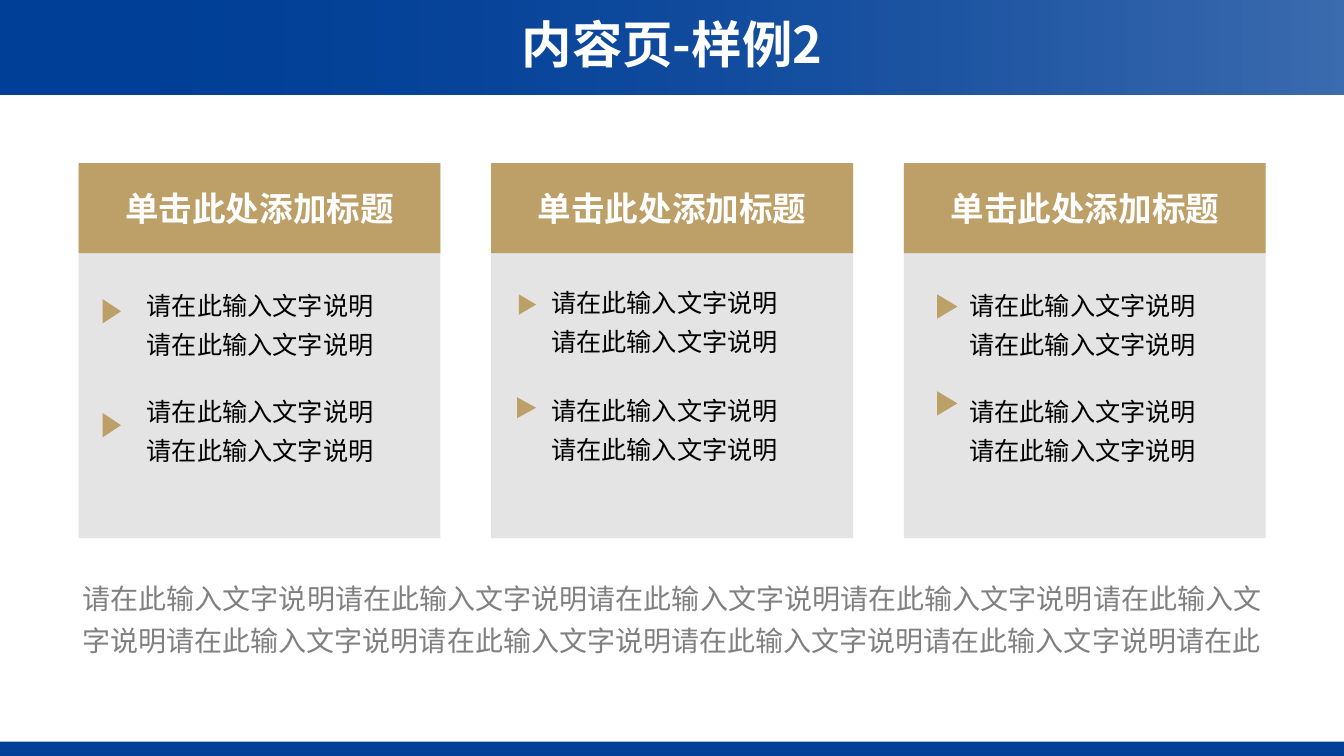
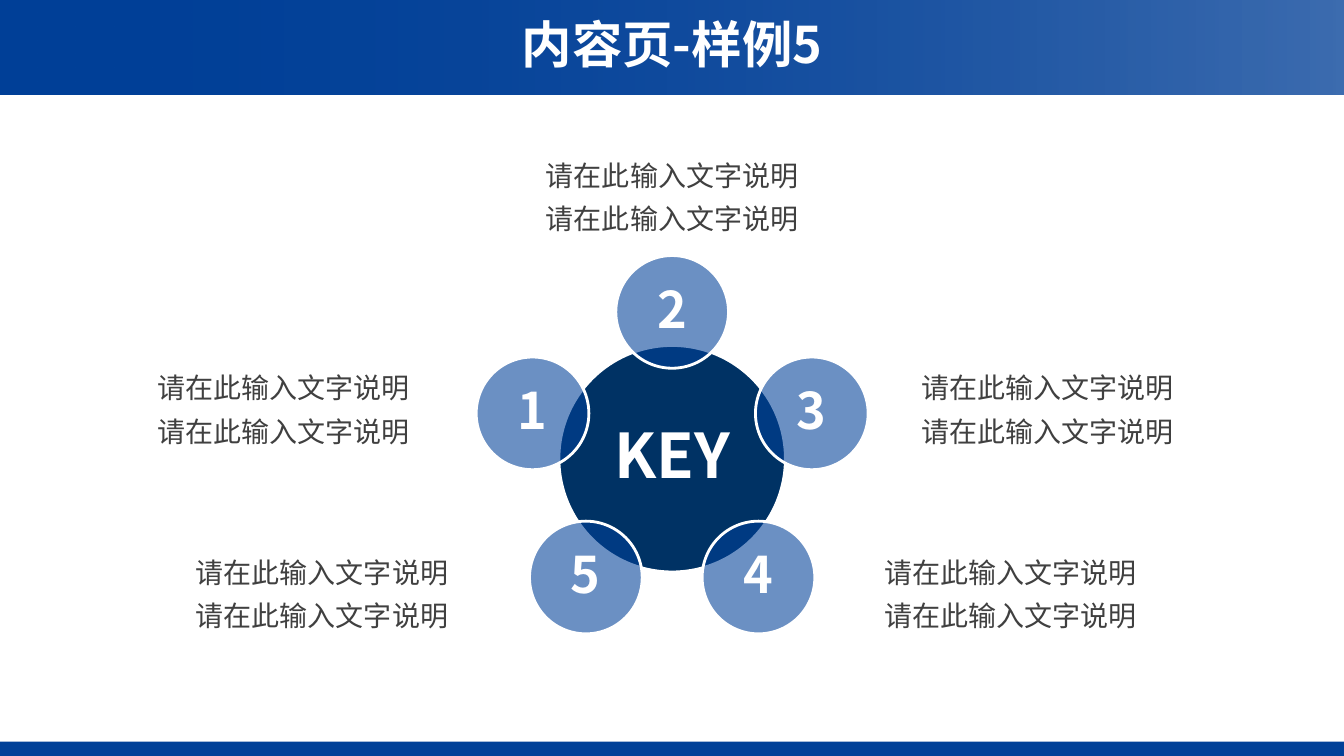
"""Build two content slides: three titled cards, and a key idea ringed by five points."""
import math
from dataclasses import dataclass

from lxml import etree
from pptx import Presentation
from pptx import util as u
from pptx.dml.color import RGBColor
from pptx.enum import shapes, text
from pptx.oxml.ns import qn


@dataclass(frozen=True)
class Theme:
    font: str = "Noto Sans CJK SC"
    blue: str = "004098"
    navy: str = "003264"
    gold: str = "BD9F68"
    panel: str = "D9D9D9"
    white: str = "FFFFFF"
    black: str = "000000"
    dark: str = "404040"
    grey: str = "808080"
    title: int = 36
    hub: int = 44
    number: int = 36
    heading: int = 24
    label: int = 20
    body: int = 18


theme = Theme()
PRESET = shapes.MSO_SHAPE
CENTER = text.PP_ALIGN.CENTER
MIDDLE = text.MSO_ANCHOR.MIDDLE


def draw(slide, preset, box, color, opacity=100, outline=0):
    shape = slide.shapes.add_shape(preset, *(u.Cm(length) for length in box))
    shape.shadow.inherit = False
    shape.fill.solid()
    shape.fill.fore_color.rgb = RGBColor.from_string(color)
    if opacity < 100:
        tint = shape.fill._xPr.find(".//" + qn("a:srgbClr"))
        etree.SubElement(tint, qn("a:alpha"), val=str(opacity * 1000))
    if outline:
        shape.line.color.rgb = RGBColor.from_string(theme.white)
        shape.line.width = u.Pt(outline)
    else:
        shape.line.fill.background()
    return shape


def write(shape, lines, size, color, bold=False, align=CENTER, anchor=MIDDLE,
          spacing=1.0, inset=None):
    frame = shape.text_frame
    frame.word_wrap = True
    frame.vertical_anchor = anchor
    if inset is not None:
        frame.margin_left = frame.margin_right = u.Cm(inset)
        frame.margin_top = frame.margin_bottom = u.Cm(inset)
    for index, line in enumerate(lines):
        paragraph = frame.add_paragraph() if index else frame.paragraphs[0]
        paragraph.alignment = align
        paragraph.line_spacing = spacing
        run = paragraph.add_run()
        run.text = line
        run.font.size = u.Pt(size)
        run.font.bold = bold
        run.font.color.rgb = RGBColor.from_string(color)
        run.font.name = theme.font
        etree.SubElement(run.font._element, qn("a:ea"), typeface=theme.font)


prs = Presentation()
prs.slide_width, prs.slide_height = u.Cm(33.87), u.Cm(19.05)
blank = prs.slide_layouts[6]
for placeholder in list(blank.placeholders):
    placeholder.element.getparent().remove(placeholder.element)

header = (0, 0, 33.87, 2.38)
phrase = "请在此输入文字说明"
cards_slide = prs.slides.add_slide(blank)
ring_slide = prs.slides.add_slide(blank)

bands = [draw(cards_slide, PRESET.RECTANGLE, (0, 18.69, 33.87, 0.36), theme.blue)]
for right_opacity in (77, 0):
    band = draw(cards_slide, PRESET.RECTANGLE, header, theme.blue)
    band.fill.gradient()
    band.fill.gradient_angle = 180
    for stop in band.fill.gradient_stops:
        stop.color.rgb = RGBColor.from_string(theme.blue)
    right_tint = band.fill._xPr.find(".//" + qn("a:srgbClr"))
    etree.SubElement(right_tint, qn("a:alpha"), val=str(right_opacity * 1000))
    bands.append(band)
for band in bands:
    blank.shapes.element.append(band.element)

for slide, title in ((cards_slide, "内容页-样例2"), (ring_slide, "内容页-样例5")):
    heading = slide.shapes.add_textbox(*(u.Cm(length) for length in header))
    write(heading, [title], theme.title, theme.white, bold=True, spacing=0.9, inset=0.41)

card_left, card_top, card_pitch, card_width = 1.98, 4.11, 10.4, 9.12
cards = [
    (3.45, (6.96, 9.63), ((2.59, 7.54, 0.46, 0.61), (2.59, 10.41, 0.46, 0.61))),
    (13.64, (6.88, 9.6), ((13.08, 7.42, 0.43, 0.51), (13.03, 10.01, 0.48, 0.53))),
    (24.18, (6.96, 9.63), ((23.62, 7.42, 0.51, 0.61), (23.62, 9.86, 0.51, 0.61))),
]
for column, (point_left, point_tops, markers) in enumerate(cards):
    left = card_left + column * card_pitch
    draw(cards_slide, PRESET.RECTANGLE, (left, card_top, card_width, 9.45), theme.panel, 70)
    card_head = draw(cards_slide, PRESET.RECTANGLE, (left, card_top, card_width, 2.27), theme.gold)
    write(card_head, ["单击此处添加标题"], theme.heading, theme.white, bold=True)
    for top, marker_box in zip(point_tops, markers):
        marker = draw(cards_slide, PRESET.RIGHT_ARROW, marker_box, theme.gold)
        marker.adjustments[0] = marker.adjustments[1] = 1
        point = cards_slide.shapes.add_textbox(u.Cm(point_left), u.Cm(top), u.Cm(7.1), u.Cm(2.4))
        write(point, [phrase] * 2, theme.body, theme.black, align=text.PP_ALIGN.LEFT,
              anchor=text.MSO_ANCHOR.TOP, spacing=1.3)

summary = cards_slide.shapes.add_textbox(u.Cm(1.83), u.Cm(14.33), u.Cm(30.23), u.Cm(2.31))
write(summary, [phrase * 9 + "请在此"], theme.label, theme.grey,
      align=text.PP_ALIGN.JUSTIFY, anchor=text.MSO_ANCHOR.TOP, spacing=1.25)

center_x, center_y, ring_radius = 16.94, 11.56, 3.7
hub_size, node_size = 5.69, 2.84
hub = draw(ring_slide, PRESET.OVAL,
           (center_x - hub_size / 2, center_y - hub_size / 2, hub_size, hub_size),
           theme.navy, outline=1.5)
write(hub, ["KEY"], theme.hub, theme.white, bold=True, spacing=0.9, inset=0.15)

nodes = [
    ("2", 11.91, 3.61, 10.06),
    ("3", 22.43, 8.97, 7.95),
    ("4", 21.49, 13.61, 7.95),
    ("5", 4.14, 13.61, 7.95),
    ("1", 3.18, 8.97, 7.95),
]
for step, (number, label_left, label_top, label_width) in enumerate(nodes):
    angle = math.radians(step * 360 / len(nodes) - 90)
    node_left = center_x + ring_radius * math.cos(angle) - node_size / 2
    node_top = center_y + ring_radius * math.sin(angle) - node_size / 2
    node = draw(ring_slide, PRESET.OVAL, (node_left, node_top, node_size, node_size),
                theme.blue, 58, outline=2)
    write(node, [number], theme.number, theme.white, bold=True, spacing=0.9, inset=0.13)
    label = ring_slide.shapes.add_textbox(
        u.Cm(label_left), u.Cm(label_top), u.Cm(label_width), u.Cm(2.36))
    write(label, [phrase] * 2, theme.label, theme.dark,
          anchor=text.MSO_ANCHOR.TOP, spacing=1.3)

prs.save("out.pptx")
